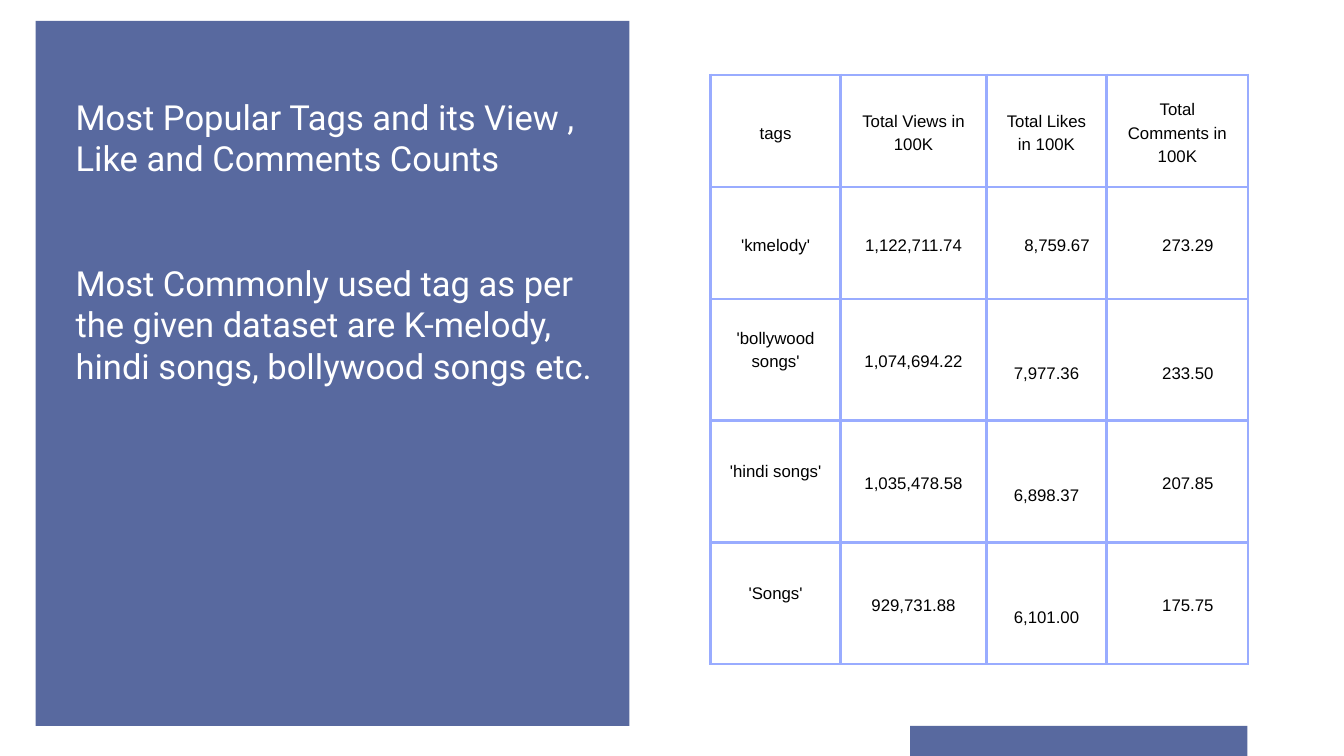
from lxml import etree
from pptx import Presentation
from pptx import util as u
from pptx.dml.color import RGBColor
from pptx.enum import shapes, text
from pptx.oxml.ns import qn

PX = 9525
BLUE = RGBColor(0x58, 0x69, 0x9F)
BORDER = RGBColor(0x99, 0xAC, 0xFF)
WHITE = RGBColor(0xFF, 0xFF, 0xFF)
BLACK = RGBColor(0, 0, 0)

HEADING = "Most Popular Tags and its View , Like and Comments Counts"
FINDING = ("Most Commonly used tag as per the given dataset are K-melody, "
           "hindi songs, bollywood songs etc.")
ROWS = [
    ["tags", "Total Views in 100K", "Total Likes in 100K", "Total Comments in 100K"],
    ["'kmelody'", "1,122,711.74", "8,759.67", "273.29"],
    ["'bollywood songs'", "1,074,694.22", "7,977.36", "233.50"],
    ["'hindi songs'", "1,035,478.58", "6,898.37", "207.85"],
    ["'Songs'", "929,731.88", "6,101.00", "175.75"],
]
COL_WIDTHS = [186, 208, 172, 202]
ROW_HEIGHTS = [160, 160, 174, 174, 174]
INSET = 20
LINE = 34
INDENT = 30


def px(n):
    return u.Emu(n * PX)


def write(p, content, font="Arial", size=18, color=BLACK, leading=25.2,
          align=text.PP_ALIGN.CENTER, after=0):
    p.alignment = align
    p.line_spacing = u.Pt(leading)
    p.space_before = u.Pt(0)
    p.space_after = u.Pt(after)
    r = p.add_run()
    r.text = content
    r.font.name = font
    r.font.size = u.Pt(size)
    r.font.color.rgb = color


def add_block(s, x, y, w, h):
    sp = s.shapes.add_shape(shapes.MSO_SHAPE.RECTANGLE, px(x), px(y), px(w), px(h))
    sp.shadow.inherit = False
    sp.fill.solid()
    sp.fill.fore_color.rgb = BLUE
    sp.line.fill.background()
    return sp


def add_borders(cell):
    tc_pr = cell._tc.get_or_add_tcPr()
    for i, side in enumerate(("a:lnL", "a:lnR", "a:lnT", "a:lnB")):
        ln = etree.Element(qn(side), w=str(u.Pt(3)))
        fill = etree.SubElement(ln, qn("a:solidFill"))
        etree.SubElement(fill, qn("a:srgbClr"), val=str(BORDER))
        tc_pr.insert(i, ln)


def cell_margins(row, col):
    left = top = bottom = INSET
    if row >= 2 and col == 0:
        bottom += LINE
    if row >= 2 and col == 2 or (row, col) == (2, 3):
        top += LINE
    if row >= 1 and col == 3 or (row, col) == (1, 2):
        left += INDENT
    return left, top, bottom


def add_tag_table(s, x, y):
    frame = s.shapes.add_table(len(ROWS), len(COL_WIDTHS), px(x), px(y),
                               px(sum(COL_WIDTHS)), px(sum(ROW_HEIGHTS)))
    table = frame.table
    table.first_row = table.horz_banding = False
    for column, width in zip(table.columns, COL_WIDTHS):
        column.width = px(width)
    for i, (row, height) in enumerate(zip(table.rows, ROW_HEIGHTS)):
        row.height = px(height)
        for j, cell in enumerate(row.cells):
            left, top, bottom = cell_margins(i, j)
            cell.margin_left, cell.margin_right = px(left), px(INSET)
            cell.margin_top, cell.margin_bottom = px(top), px(bottom)
            cell.vertical_anchor = text.MSO_ANCHOR.MIDDLE
            cell.fill.background()
            add_borders(cell)
            write(cell.text_frame.paragraphs[0], ROWS[i][j])


def fill_title(s, x, y, w, h):
    sp = s.shapes.title
    sp.left, sp.top, sp.width, sp.height = px(x), px(y), px(w), px(h)
    tf = sp.text_frame
    tf.word_wrap = True
    tf.auto_size = text.MSO_AUTO_SIZE.NONE
    tf.vertical_anchor = text.MSO_ANCHOR.TOP
    tf.margin_left = tf.margin_right = tf.margin_top = tf.margin_bottom = 0
    style = dict(font="Roboto", size=37, color=WHITE, leading=44.4,
                 align=text.PP_ALIGN.LEFT)
    write(tf.paragraphs[0], HEADING, after=88.8, **style)
    write(tf.add_paragraph(), FINDING, **style)
    return sp


def main():
    prs = Presentation()
    prs.slide_width, prs.slide_height = px(1920), px(1080)
    s = prs.slides.add_slide(prs.slide_layouts[5])
    add_block(s, 1300, 1037, 482, 43)
    panel = add_block(s, 51, 30, 848, 1007)
    add_tag_table(s, 1015, 107)
    title = fill_title(s, 108, 137, 748, 414)
    panel.element.getparent().append(title.element)
    prs.save("out.pptx")


if __name__ == "__main__":
    main()
